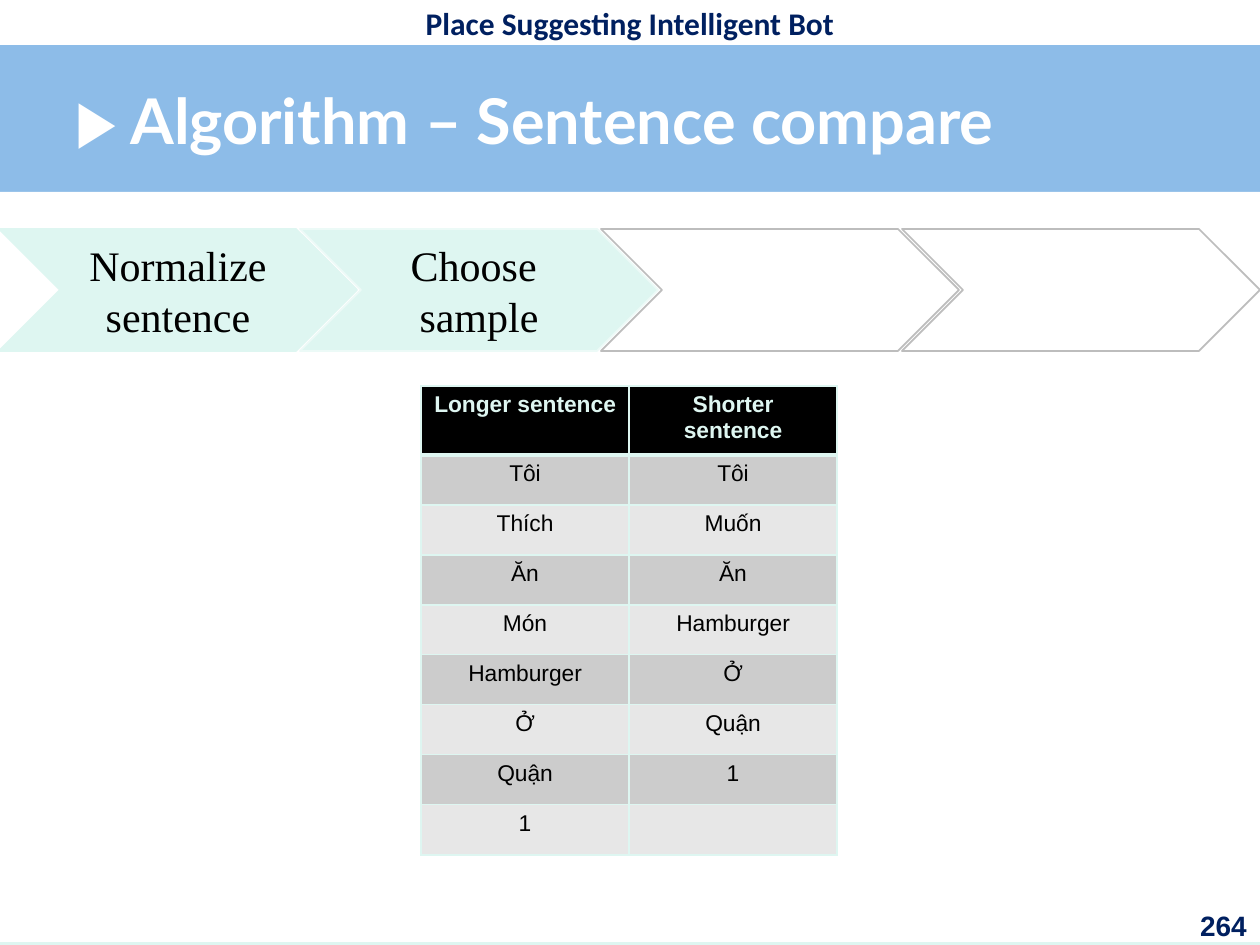
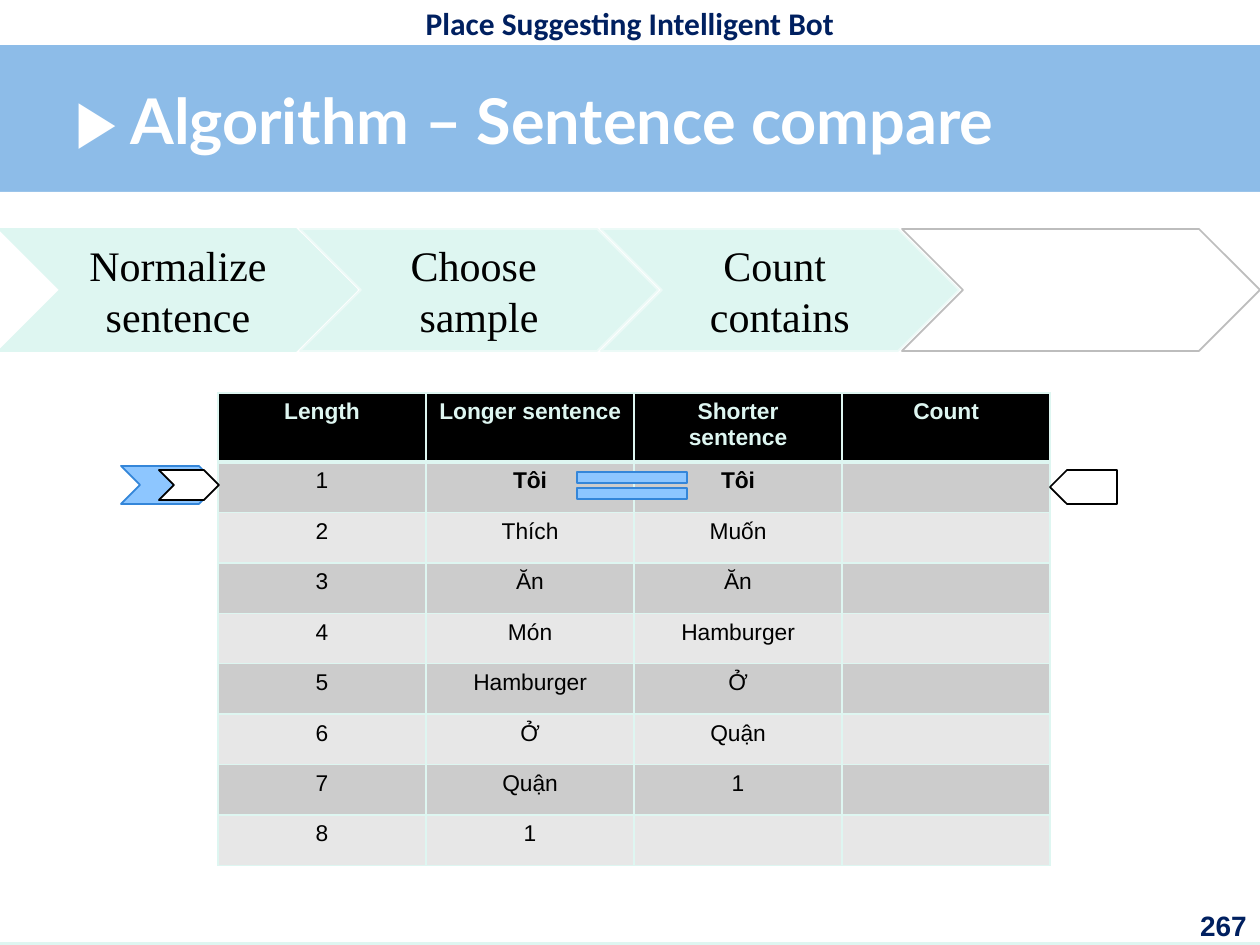
import pptx
import pptx.util
import pptx.dml.color
import pptx.enum.shapes
import pptx.enum.text
import pptx.oxml
import pptx.oxml.ns
from dataclasses import dataclass
from lxml import etree

KIND = pptx.enum.shapes.MSO_SHAPE
ALIGN = pptx.enum.text.PP_ALIGN
ANCHOR = pptx.enum.text.MSO_ANCHOR


@dataclass(frozen=True)
class Theme:
    mint: str = "DEF6F1"
    pale: str = "ECFAF7"
    band: str = "7FB3E7"
    navy: str = "002060"
    white: str = "FFFFFF"
    black: str = "000000"
    gray: str = "BDBDBD"
    dark: str = "CCCCCC"
    light: str = "E7E7E7"
    sky: str = "8DC6FF"
    blue: str = "3486D9"
    head: int = 18
    title: int = 36
    page: int = 16
    step: int = 24
    cell: int = 13


T = Theme()
WIDTH, HEIGHT = 1260, 945
COL, TOP, ROW = 208, 69, 50
STEPS = [("Normalize", "sentence"), ("Choose ", "sample"), ("Count ", "contains")]
WORDS = [
    ("Tôi", "Tôi"),
    ("Thích", "Muốn"),
    ("Ăn", "Ăn"),
    ("Món", "Hamburger"),
    ("Hamburger", "Ở"),
    ("Ở", "Quận"),
    ("Quận", "1"),
    ("1", ""),
]
PAIR = ("Longer sentence", "Shorter sentence")


def px(n):
    return pptx.util.Emu(round(n * 914400 / 126))


def rgb(code):
    return pptx.dml.color.RGBColor.from_string(code)


def write(frame, lines, font, size, color, bold=False, align=ALIGN.CENTER):
    for i, line in enumerate(lines):
        para = frame.paragraphs[0] if i == 0 else frame.add_paragraph()
        para.alignment = align
        run = para.add_run()
        run.text = line
        run.font.name = font
        run.font.size = pptx.util.Pt(size)
        run.font.bold = bold
        run.font.color.rgb = rgb(color)


def shape(slide, kind, box, fill, line=None):
    item = slide.shapes.add_shape(kind, *map(px, box))
    item.shadow.inherit = False
    item.fill.solid()
    item.fill.fore_color.rgb = rgb(fill)
    if line:
        item.line.color.rgb = rgb(line)
        item.line.width = pptx.util.Pt(1)
    else:
        item.line.fill.background()
    return item


def label(slide, box, text, font, size, color, align, anchor, wrap=True):
    frame = slide.shapes.add_textbox(*map(px, box)).text_frame
    frame.word_wrap = wrap
    frame.vertical_anchor = anchor
    write(frame, [text], font, size, color, True, align)


def base(deck, page):
    slide = deck.slides.add_slide(deck.slide_layouts[6])
    slide.background.fill.solid()
    slide.background.fill.fore_color.rgb = rgb(T.mint)
    band = shape(slide, KIND.RECTANGLE, (0, 0, WIDTH, 195), T.band)
    tint = band.fill._xPr.find(".//" + pptx.oxml.ns.qn("a:srgbClr"))
    etree.SubElement(tint, pptx.oxml.ns.qn("a:alpha"), val="85000")
    shape(slide, KIND.RECTANGLE, (0, 0, WIDTH, 45), T.white)
    shape(slide, KIND.RECTANGLE, (0, 192, WIDTH, 750), T.white)
    label(slide, (63, 0, 1134, 45), "Place Suggesting Intelligent Bot", "Calibri",
          T.head, T.navy, ALIGN.CENTER, ANCHOR.MIDDLE, False)
    label(slide, (63, 44, 1134, 151), "▶ Algorithm – Sentence compare", "Lato",
          T.title, T.white, ALIGN.LEFT, ANCHOR.MIDDLE)
    label(slide, (1182, 902, 77, 43), page, "Arial",
          T.page, T.navy, ALIGN.RIGHT, ANCHOR.TOP)
    return slide


def steps(slide, box, done):
    left, top, wide, high = box
    for i in range(4):
        full = i < done
        item = shape(slide, KIND.CHEVRON, (left + 301 * i, top, wide, high),
                     T.mint if full else T.white,
                     (T.pale if i else T.mint) if full else T.gray)
        if full:
            item.text_frame.word_wrap = False
            item.text_frame.vertical_anchor = ANCHOR.MIDDLE
            write(item.text_frame, STEPS[i], "Times New Roman", T.step, T.black)


def edge(cell, sides):
    props = cell._tc.get_or_add_tcPr()
    for i, (side, size) in enumerate(sides.items()):
        props.insert(i, pptx.oxml.parse_xml(
            f'<a:{side} {pptx.oxml.ns.nsdecls("a")} w="{pptx.util.Pt(size)}">'
            f'<a:solidFill><a:srgbClr val="{T.mint}"/></a:solidFill></a:{side}>'))


def grid(slide, left, top, rows, strong=()):
    cols = len(rows[0])
    table = slide.shapes.add_table(
        len(rows), cols, px(left), px(top), px(COL * cols),
        px(TOP + ROW * (len(rows) - 1))).table
    for col in table.columns:
        col.width = px(COL)
    for r, words in enumerate(rows):
        table.rows[r].height = px(ROW if r else TOP)
        for c, word in enumerate(words):
            cell = table.cell(r, c)
            cell.fill.solid()
            cell.fill.fore_color.rgb = rgb((T.dark if r % 2 else T.light) if r else T.black)
            edge(cell, {"lnL": 1, "lnR": 1, "lnT": 3 if r == 1 else 1, "lnB": 1 if r else 3})
            if word:
                write(cell.text_frame, [word], "Arial", T.cell,
                      T.black if r else T.mint, r == 0 or (r, c) in strong)


def marks(slide, left, top, wide):
    mid = top + TOP + ROW // 2
    shape(slide, KIND.MATH_EQUAL, (left + 339, mid - 25, 150, 47), T.sky, T.blue)
    shape(slide, KIND.CHEVRON, (left - 97, mid - 21, 97, 38), T.sky, T.blue)
    shape(slide, KIND.CHEVRON, (left - 59, mid - 17, 60, 30), T.white, T.black)
    flag = shape(slide, KIND.PENTAGON, (left + wide, mid - 17, 67, 34), T.white, T.black)
    flag.rotation = 180


def sample(deck):
    slide = base(deck, "264")
    steps(slide, (-1, 229, 358, 122), 2)
    grid(slide, 421, 386, [PAIR, *WORDS])


def count(deck):
    slide = base(deck, "267")
    left, top = 218, 393
    rows = [("Length", *PAIR, "Count")]
    rows += [(str(i), *pair, "") for i, pair in enumerate(WORDS, 1)]
    grid(slide, left, top, rows, {(1, 1), (1, 2)})
    marks(slide, left, top, COL * 4)
    steps(slide, (-1, 229, 358, 122), 3)


def main():
    deck = pptx.Presentation()
    deck.slide_width, deck.slide_height = px(WIDTH), px(HEIGHT)
    sample(deck)
    count(deck)
    deck.save("out.pptx")


if __name__ == "__main__":
    main()
